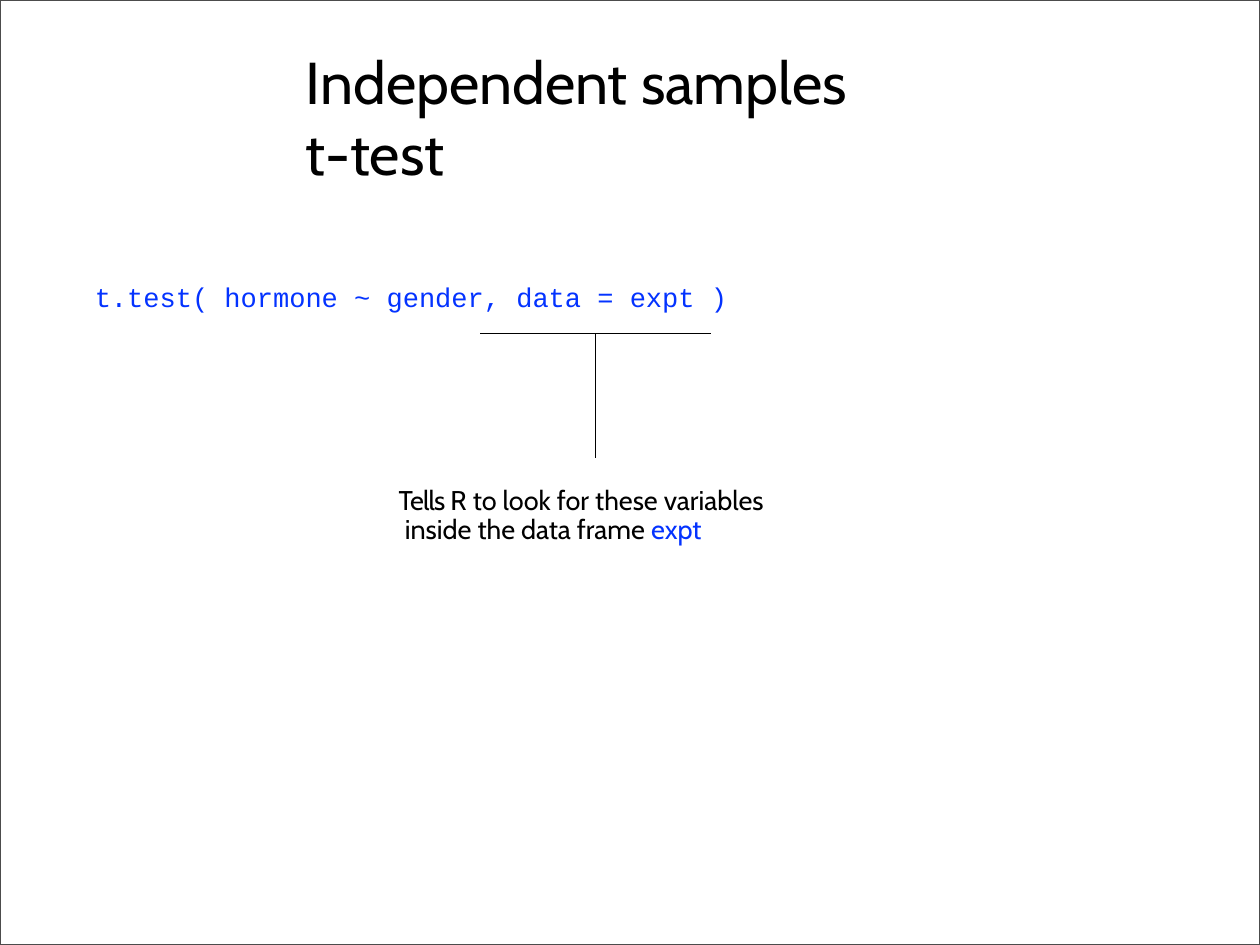
from dataclasses import dataclass

from pptx import Presentation
from pptx.dml.color import RGBColor
from pptx.enum.shapes import MSO_CONNECTOR, MSO_SHAPE
from pptx.enum.text import MSO_ANCHOR, MSO_AUTO_SIZE, PP_ALIGN
from pptx.oxml.ns import qn
from pptx.util import Inches, Pt


@dataclass(frozen=True)
class Theme:
    black: RGBColor = RGBColor(0x00, 0x00, 0x00)
    blue: RGBColor = RGBColor(0x04, 0x33, 0xFF)
    border: RGBColor = RGBColor(0x4C, 0x4C, 0x4C)
    text_font: str = "Cabin"
    code_font: str = "Courier New"
    title_size: int = 48
    body_size: int = 22


theme = Theme()


def write(para, text, font=theme.text_font, size=theme.body_size, color=theme.black, tracking=0):
    """Append a formatted span; tracking is in hundredths of a point."""
    span = para.add_run()
    span.text = text
    span.font.name = font
    span.font.size = Pt(size)
    span.font.color.rgb = color
    if tracking:
        span.font._element.set("spc", str(tracking))


def place(box, left, top, width, height):
    """Position a text box, clear its margins and return its first paragraph."""
    box.left, box.top, box.width, box.height = map(Inches, (left, top, width, height))
    frame = box.text_frame
    frame.margin_left = frame.margin_top = frame.margin_right = frame.margin_bottom = 0
    frame.word_wrap = True
    frame.vertical_anchor = MSO_ANCHOR.TOP
    frame.auto_size = MSO_AUTO_SIZE.SHAPE_TO_FIT_TEXT
    para = frame.paragraphs[0]
    para.alignment = PP_ALIGN.LEFT
    return para


deck = Presentation()
deck.slide_width, deck.slide_height = Inches(14.22), Inches(10.67)
page = deck.slides.add_slide(deck.slide_layouts[5])

# Title
title = place(page.shapes.title, 3.45, 0.51, 7.33, 0.81)
write(title, "Independent samples", size=theme.title_size)
title.add_line_break()
write(title, "t-test", size=theme.title_size)

# Function call
code = place(page.shapes.add_textbox(0, 0, 0, 0), 1.07, 3.17, 7.5, 0.38)
write(code, "t.test( hormone ~ gender, data = expt )", font=theme.code_font, color=theme.blue)

# Explanation of the data argument
note_box = page.shapes.add_textbox(0, 0, 0, 0)
first_line = place(note_box, 4.5, 5.51, 4.17, 0.65)
write(first_line, "Tells ", tracking=-70)
write(first_line, "R to look for these variables")
second_line = note_box.text_frame.add_paragraph()
second_line._p.get_or_add_pPr().set("marL", str(Inches(0.07)))
write(second_line, "inside the data frame ")
write(second_line, "expt", color=theme.blue)
for para in (first_line, second_line):
    para.line_spacing = Pt(23)

# Bracket under the data argument, with a stem down to the explanation
bracket_left, bracket_right, bracket_top, stem_bottom = 5.42, 8.02, 3.77, 5.17
stem_x = (bracket_left + bracket_right) / 2
for ends in (
    (bracket_left, bracket_top, bracket_right, bracket_top),
    (stem_x, bracket_top, stem_x, stem_bottom),
):
    rule = page.shapes.add_connector(MSO_CONNECTOR.STRAIGHT, *map(Inches, ends))
    rule.line.color.rgb = theme.black
    rule.line.width = Pt(0.75)
    properties = rule._element.spPr
    properties.append(properties.makeelement(qn("a:effectLst"), {}))

# Page border
border = page.shapes.add_shape(MSO_SHAPE.RECTANGLE, 0, 0, deck.slide_width, deck.slide_height)
border.shadow.inherit = False
border.fill.background()
border.line.color.rgb = theme.border
border.line.width = Pt(1)

deck.save("out.pptx")
